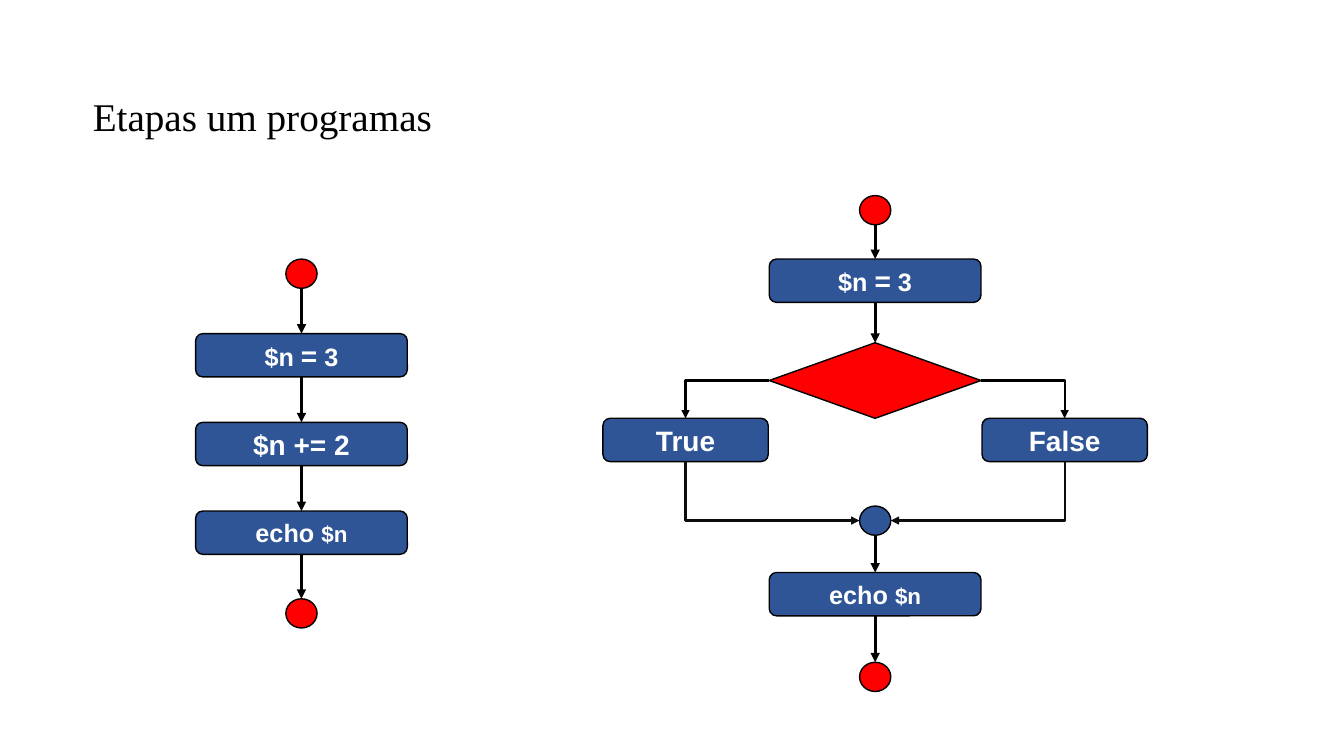
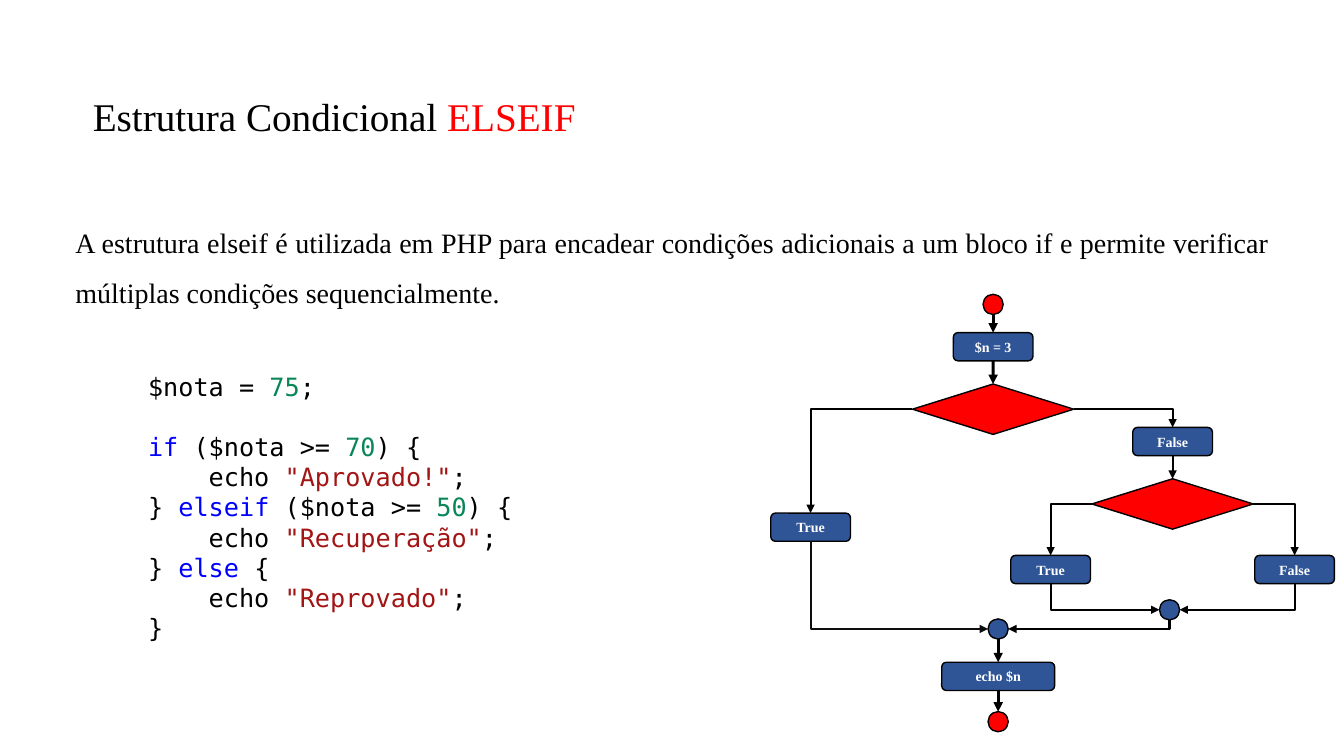
from dataclasses import dataclass

import lxml.etree
import pptx
import pptx.util
import pptx.dml.color
import pptx.enum.shapes
import pptx.enum.text
import pptx.oxml.ns

Inches, Pt = pptx.util.Inches, pptx.util.Pt
SHAPE = pptx.enum.shapes.MSO_SHAPE
LINK = pptx.enum.shapes.MSO_CONNECTOR
ALIGN = pptx.enum.text.PP_ALIGN
ANCHOR = pptx.enum.text.MSO_ANCHOR
qn = pptx.oxml.ns.qn

COLORS = {
    "black": "000000", "soft_black": "0D0D0D", "white": "FFFFFF",
    "red": "FF0000", "blue": "2F5597",
    "number": "098658", "keyword": "0000FF", "string": "A31515",
}
SERIF, SANS, MONO = "Times New Roman", "Arial", "DejaVu Sans Mono"
TOP, LEFT, BOTTOM, RIGHT = range(4)


def rgb(name):
    return pptx.dml.color.RGBColor.from_string(COLORS[name])


def style_font(font, name, size, color="black", bold=False):
    font.name, font.size, font.bold = name, Pt(size), bold
    font.color.rgb = rgb(color)


def add_colored_runs(p, runs):
    """Add (text, color) pairs; black is left to the paragraph."""
    for text, color in runs:
        r = p.add_run()
        r.text = text
        if color != "black":
            r.font.color.rgb = rgb(color)


def add_titled_slide(prs, runs):
    s = prs.slides.add_slide(prs.slide_layouts[5])
    title = s.shapes.title
    title.left, title.top = Inches(0.82), Inches(0.93)
    title.width, title.height = Inches(10.29), Inches(0.49)
    tf = title.text_frame
    tf.vertical_anchor = ANCHOR.MIDDLE
    p = tf.paragraphs[0]
    p.alignment, p.line_spacing = ALIGN.LEFT, 0.9
    style_font(p.font, SERIF, 28)
    add_colored_runs(p, runs)
    return s


def add_text_frame(s, left, top, width, height):
    box = s.shapes.add_textbox(Inches(left), Inches(top), Inches(width), Inches(height))
    box.text_frame.word_wrap = True
    return box.text_frame


@dataclass
class Flow:
    """A flowchart whose nodes are placed from its centre line and top."""
    slide: object
    center: float
    top: float
    font: str
    text_size: int
    box_size: tuple
    circle_size: tuple
    diamond_size: tuple = (0, 0)

    def node(self, kind, size, dx, dy, fill):
        w, h = size
        shape = self.slide.shapes.add_shape(
            kind, Inches(self.center + dx - w / 2), Inches(self.top + dy),
            Inches(w), Inches(h))
        shape.shadow.inherit = False
        shape.fill.solid()
        shape.fill.fore_color.rgb = rgb(fill)
        shape.line.color.rgb = rgb("black")
        shape.line.width = Pt(1)
        return shape

    def circle(self, dy, dx=0, fill="red"):
        return self.node(SHAPE.FLOWCHART_CONNECTOR, self.circle_size, dx, dy, fill)

    def diamond(self, dy, dx=0):
        return self.node(SHAPE.FLOWCHART_DECISION, self.diamond_size, dx, dy, "red")

    def box(self, dy, *runs, dx=0, width=None):
        """Add a step; a run is a text, or a (text, size) pair."""
        size = (width or self.box_size[0], self.box_size[1])
        shape = self.node(SHAPE.ROUNDED_RECTANGLE, size, dx, dy, "blue")
        tf = shape.text_frame
        tf.vertical_anchor = ANCHOR.MIDDLE
        p = tf.paragraphs[0]
        p.alignment = ALIGN.CENTER
        style_font(p.font, self.font, self.text_size, "white", bold=True)
        for run in runs:
            text, text_size = (run, None) if isinstance(run, str) else run
            r = p.add_run()
            r.text = text
            if text_size:
                r.font.size = Pt(text_size)
        return shape

    def link(self, kind, start, start_side, end, end_side, width, color, arrow):
        c = self.slide.shapes.add_connector(kind, 0, 0, 0, 0)
        c.begin_connect(start, start_side)
        c.end_connect(end, end_side)
        for tag, shape, side in (("a:stCxn", start, start_side),
                                 ("a:endCxn", end, end_side)):
            # A circle has eight connection sites, a box or diamond four.
            if shape.auto_shape_type == SHAPE.FLOWCHART_CONNECTOR:
                c._element.find(".//" + qn(tag)).set("idx", str(2 * side))
        c.line.width = Pt(width)
        c.line.color.rgb = rgb(color)
        props = c._element.spPr
        lxml.etree.SubElement(props.find(qn("a:ln")), qn(arrow)).set("type", "triangle")
        lxml.etree.SubElement(props, qn("a:effectLst"))
        return c

    def chain(self, *nodes, width=2.25):
        for above, below in zip(nodes, nodes[1:]):
            self.link(LINK.STRAIGHT, above, BOTTOM, below, TOP,
                      width, "black", "a:tailEnd")

    def elbow(self, start, start_side, end, end_side, color, arrow):
        """Run sideways from start, then vertically to end."""
        c = self.link(LINK.ELBOW, start, start_side, end, end_side, 1.5, color, arrow)
        c._element.spPr.find(qn("a:prstGeom")).set("prst", "bentConnector2")

    def split(self, decision, left_box, right_box):
        for side, box in ((LEFT, left_box), (RIGHT, right_box)):
            self.elbow(decision, side, box, TOP, "black", "a:tailEnd")

    def merge(self, circle, side, source, color="soft_black"):
        self.elbow(circle, side, source, BOTTOM, color, "a:headEnd")


ASSIGN = ("$n ", ("=", 20), " 3")
ECHO = ("echo ", ("$n", 16))


def draw_sequence(s, center, top):
    flow = Flow(s, center, top, SANS, 18, (2.1, 0.43), (0.31, 0.29))
    steps = (ASSIGN, [("$n += 2", 20)], ECHO)
    boxes = [flow.box(0.74 + 0.88 * i, *runs) for i, runs in enumerate(steps)]
    flow.chain(flow.circle(0), *boxes, flow.circle(3.37))


def draw_branch(s, center, top):
    flow = Flow(s, center, top, SANS, 18, (2.1, 0.43), (0.31, 0.29), (2.1, 0.75))
    decision = flow.diamond(1.46)
    flow.chain(flow.circle(0), flow.box(0.63, *ASSIGN), decision)
    yes, no = [flow.box(2.21, (text, 20), dx=dx, width=1.64)
               for text, dx in (("True", -1.88), ("False", 1.88))]
    flow.split(decision, yes, no)
    joint = flow.circle(3.08, fill="blue")
    flow.merge(joint, LEFT, yes)
    flow.merge(joint, RIGHT, no)
    flow.chain(joint, flow.box(3.74, *ECHO), flow.circle(4.63))


def draw_nested_branch(s, center, top):
    flow = Flow(s, center, top, SERIF, 10, (0.79, 0.28), (0.2, 0.2), (1.6, 0.5))
    inner, reach, joint_dx = 1.78, 1.21, 0.05
    first = flow.diamond(0.89)
    flow.chain(flow.circle(0), flow.box(0.38, "$n = 3"), first)
    yes = flow.box(2.17, "True", dx=-1.81)
    no = flow.box(1.32, "False", dx=inner)
    flow.split(first, yes, no)

    second = flow.diamond(1.83, dx=inner)
    flow.chain(no, second, width=1.5)
    inner_yes = flow.box(2.59, "True", dx=inner - reach)
    inner_no = flow.box(2.59, "False", dx=inner + reach)
    flow.split(second, inner_yes, inner_no)
    inner_joint = flow.circle(3.03, dx=inner - 0.03, fill="blue")
    flow.merge(inner_joint, LEFT, inner_yes, "black")
    flow.merge(inner_joint, RIGHT, inner_no, "black")

    joint = flow.circle(3.22, dx=joint_dx, fill="blue")
    flow.merge(joint, LEFT, yes)
    flow.merge(joint, RIGHT, inner_joint, "black")
    flow.chain(joint, flow.box(3.65, "echo $n", dx=joint_dx, width=1.12),
               flow.circle(4.14, dx=joint_dx))


def draw_explanation(s, left, top):
    p = add_text_frame(s, left, top, 12.04, 1.18).paragraphs[0]
    p.text = ("A estrutura elseif é utilizada em PHP para encadear condições adicionais "
              "a um bloco if e permite verificar múltiplas condições sequencialmente.")
    p.alignment, p.line_spacing = ALIGN.JUSTIFY, 1.5
    style_font(p.font, SERIF, 20)


def condition(opening, keyword, limit):
    return [(opening, "black"), (keyword, "keyword"), (" ($nota >= ", "black"),
            (limit, "number"), (") {", "black")]


def echo(message):
    return [("    echo ", "black"), (f'"{message}"', "string"), (";", "black")]


def draw_code(s, left, top):
    lines = [
        [("$nota = ", "black"), ("75", "number"), (";", "black")],
        condition("", "if", "70"),
        echo("Aprovado!"),
        condition("} ", "elseif", "50"),
        echo("Recuperação"),
        [("} ", "black"), ("else", "keyword"), (" {", "black")],
        echo("Reprovado"),
        [("}", "black")],
    ]
    tf = add_text_frame(s, left, top, 4.33, 2.83)
    for i, runs in enumerate(lines):
        p = tf.add_paragraph() if i else tf.paragraphs[0]
        style_font(p.font, MONO, 18)
        add_colored_runs(p, [run for run in runs if run[0]])
    tf.paragraphs[1].space_before = Pt(21.5)


def main():
    prs = pptx.Presentation()
    prs.slide_width, prs.slide_height = Inches(13.33), Inches(7.5)

    s = add_titled_slide(prs, [("Etapas um programas", "black")])
    draw_sequence(s, 2.99, 2.57)
    draw_branch(s, 8.68, 1.94)

    s = add_titled_slide(prs, [("Estrutura Condicional ", "black"), ("ELSEIF", "red")])
    draw_explanation(s, 0.65, 2.02)
    draw_nested_branch(s, 9.85, 2.92)
    draw_code(s, 1.37, 3.63)

    prs.save("out.pptx")


if __name__ == "__main__":
    main()
